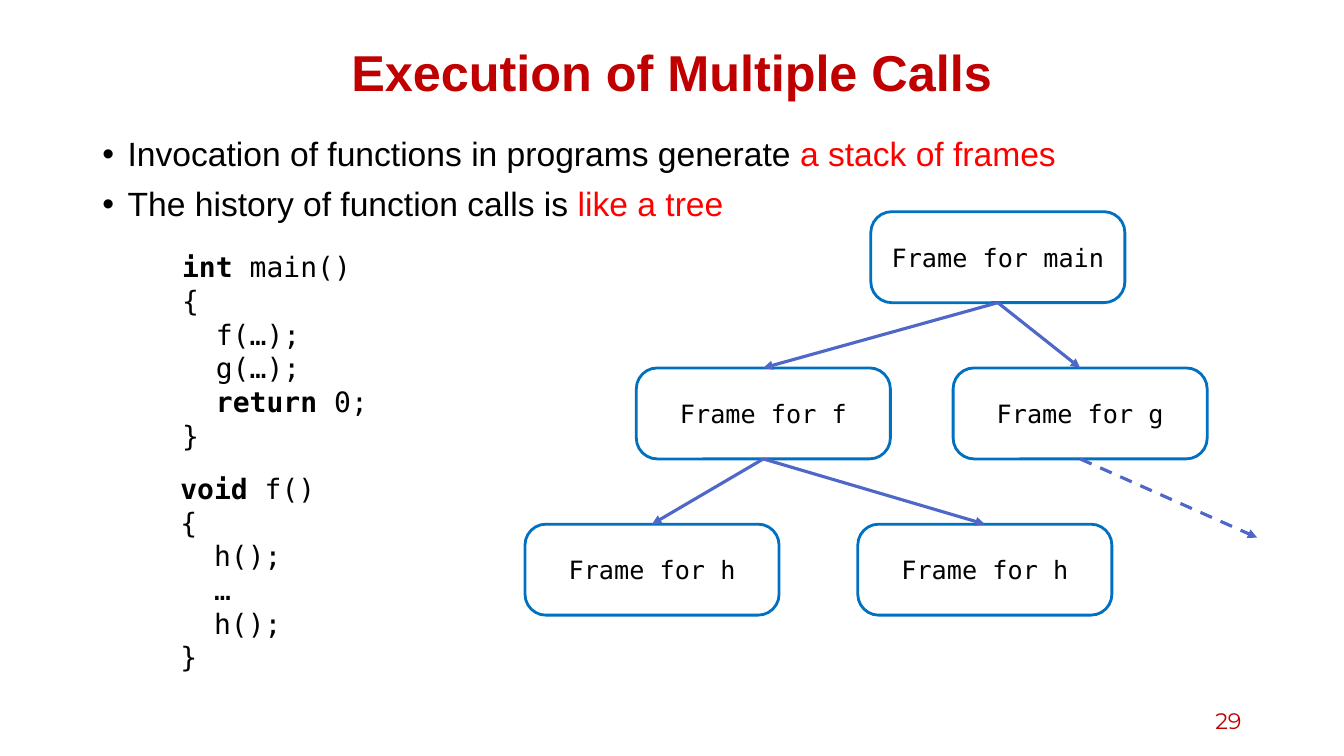
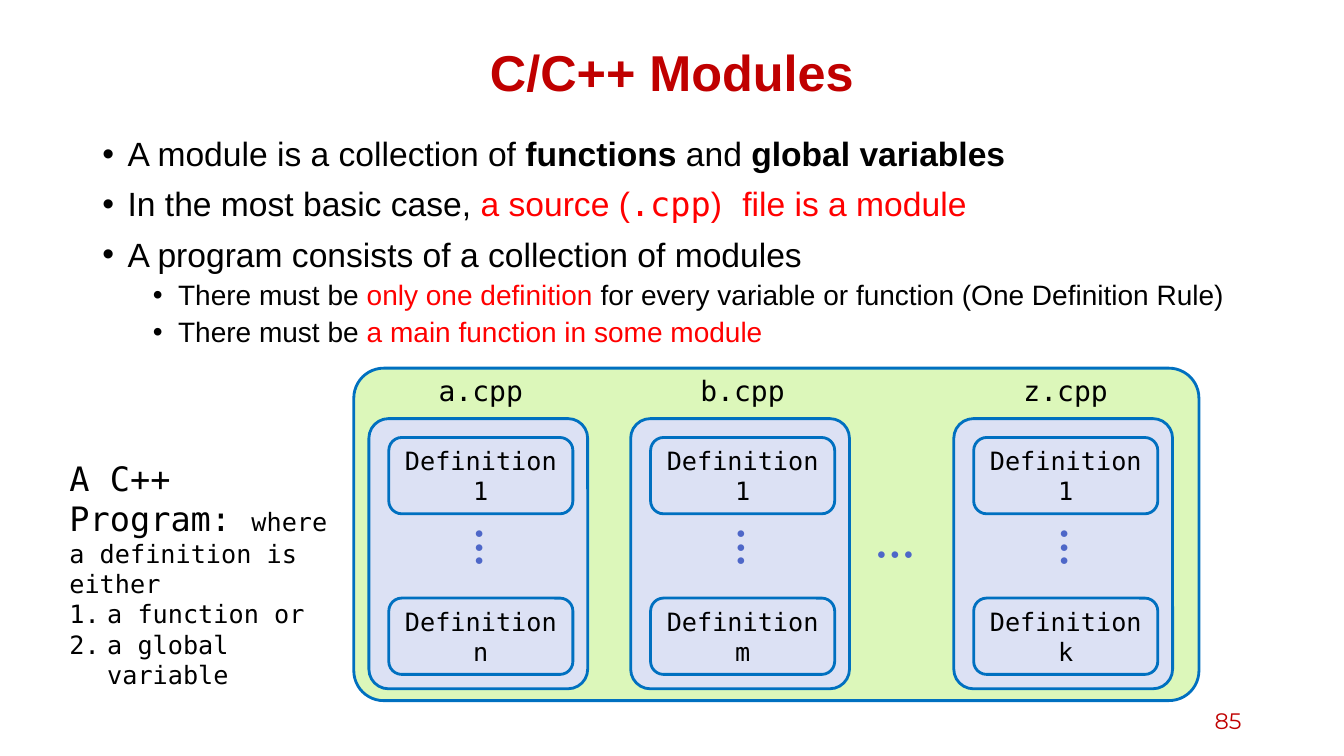
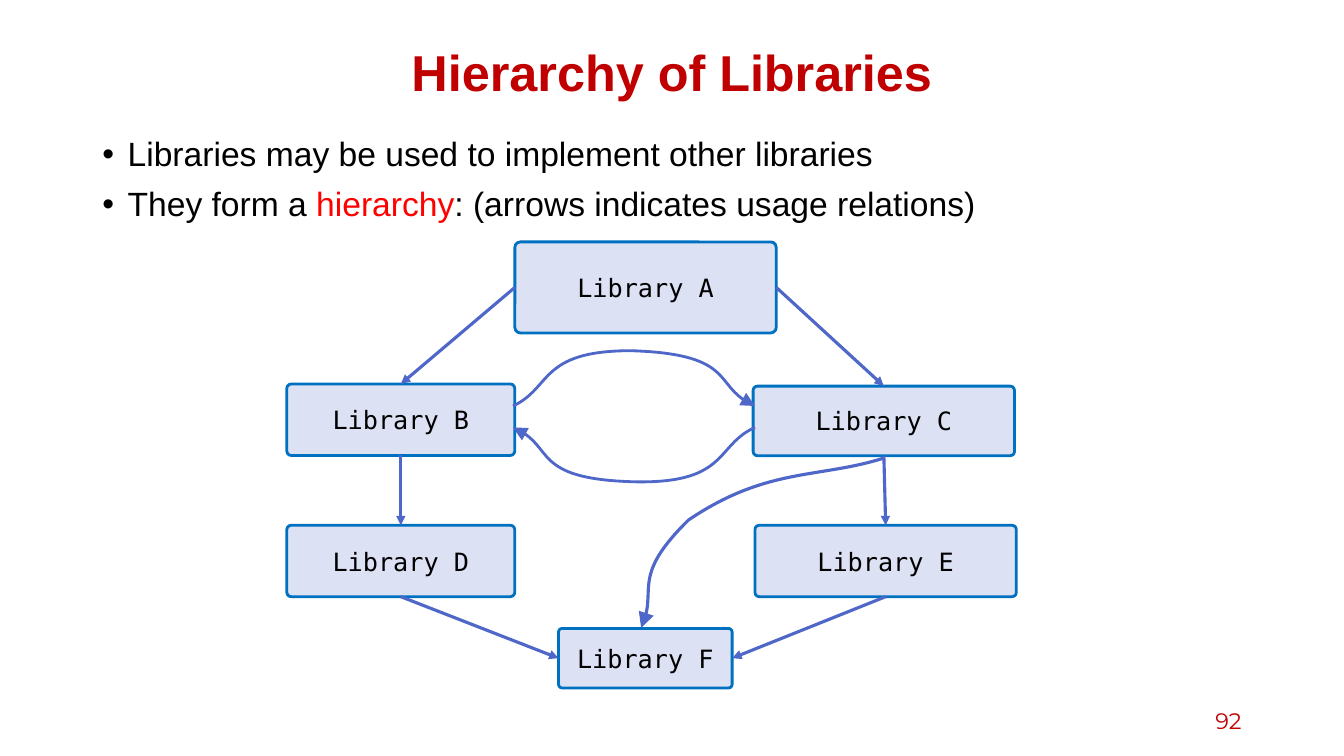
"""Build three lecture slides on calls, modules and libraries."""
from dataclasses import dataclass
from typing import NamedTuple

from lxml.etree import SubElement
from pptx import Presentation
from pptx.dml.color import RGBColor
from pptx.enum.dml import MSO_LINE
from pptx.enum.shapes import MSO_CONNECTOR as Link, MSO_SHAPE as Preset
from pptx.enum.text import MSO_ANCHOR as Anchor, MSO_AUTO_SIZE as AutoSize, PP_ALIGN as Align
from pptx.oxml.ns import qn
from pptx.util import Pt

SANS, MONO, NUMBER_FONT = "Arial", "DejaVu Sans Mono", "Montserrat"
BLACK, RED, TITLE_RED = "000000", "FF0000", "C00000"
OUTLINE, ARROW, LILAC, GREEN = "0070C0", "4E67C8", "DCE1F4", "DCF7BA"
TOP, LEFT, BOTTOM, RIGHT = range(4)


class Span(NamedTuple):
    """A stretch of text in one format."""
    text: str
    color: str = BLACK
    bold: bool = False
    font: str = SANS


@dataclass
class Bullet:
    """A bulleted line made of spans."""
    spans: list[Span]
    level: int = 0


@dataclass
class Node:
    """A labelled box of a diagram."""
    key: str
    text: str
    left: float
    top: float
    width: float
    height: float


@dataclass
class Arrow:
    """An arrow between connection sites of two nodes."""
    start: str
    start_site: int
    end: str
    end_site: int


@dataclass
class Curve:
    """A curved arrow: a start point, then three points for each cubic segment."""
    start: tuple
    points: list[tuple]
    width: float = 2


@dataclass
class Module:
    """A source file with its last definition."""
    name: str
    last: str
    left: float


def rgb(color: str) -> RGBColor:
    """Turn a hex string into a colour."""
    return RGBColor.from_string(color)


def write(para, text: str, *, size: float = 18, font: str = MONO,
          color: str = BLACK, bold: bool = False) -> None:
    """Add a formatted span to a paragraph."""
    span = para.add_run()
    span.text = text
    span.font.size, span.font.name, span.font.bold = Pt(size), font, bold
    span.font.color.rgb = rgb(color)


def place(box, left: float, top: float, width: float, height: float) -> None:
    """Move and size a box."""
    box.left, box.top, box.width, box.height = Pt(left), Pt(top), Pt(width), Pt(height)


def add_marker(para, indent: float, hang: float, tag: str, **attributes: str) -> None:
    """Give a paragraph a hanging bullet or number."""
    props = para._p.get_or_add_pPr()
    props.set("marL", str(Pt(indent)))
    props.set("indent", str(Pt(-hang)))
    SubElement(props, qn("a:buFont"), typeface=SANS if tag == "a:buChar" else MONO)
    SubElement(props, qn(tag), **attributes)


def next_para(frame, index: int):
    """Return the first paragraph or a new one."""
    return frame.add_paragraph() if index else frame.paragraphs[0]


def add_text(page, left: float, top: float, width: float, height: float):
    """Add a wrapping text box and return its frame."""
    frame = page.shapes.add_textbox(Pt(left), Pt(top), Pt(width), Pt(height)).text_frame
    frame.word_wrap = True
    return frame


def add_page(deck, title: str, number: int, bullets: list[Bullet]):
    """Add a slide with its title, bullets and number."""
    page = deck.slides.add_slide(deck.slide_layouts[1])
    heading, body = page.placeholders
    place(heading, 66, 28.8, 828, 50.4)
    place(body, 66, 94.6, 828, 397)
    for frame, anchor in ((heading.text_frame, Anchor.MIDDLE), (body.text_frame, Anchor.TOP)):
        frame.auto_size, frame.vertical_anchor = AutoSize.NONE, anchor
    para = heading.text_frame.paragraphs[0]
    para.alignment, para.line_spacing = Align.CENTER, 0.9
    write(para, title, size=36, font=SANS, color=TITLE_RED, bold=True)
    for index, bullet in enumerate(bullets):
        para = next_para(body.text_frame, index)
        para.level = bullet.level
        add_marker(para, 18 + 36 * bullet.level, 18, "a:buChar", char="•")
        para.line_spacing = 0.9
        para.space_before = Pt((5 if bullet.level else 10) if index else 0)
        for span in bullet.spans:
            write(para, span.text, size=20 if bullet.level else 24,
                  font=span.font, color=span.color, bold=span.bold)
    frame = add_text(page, 678, 500.4, 216, 28.8)
    frame.vertical_anchor = Anchor.MIDDLE
    frame.paragraphs[0].alignment = Align.RIGHT
    write(frame.paragraphs[0], str(number), size=16, font=NUMBER_FONT, color=TITLE_RED)
    return page


def add_box(page, left: float, top: float, width: float, height: float, *,
            text: str = "", fill: str = "", corner: float = 0.17):
    """Add an outlined rounded box with centred text."""
    box = page.shapes.add_shape(Preset.ROUNDED_RECTANGLE, Pt(left), Pt(top), Pt(width), Pt(height))
    box.adjustments[0] = corner
    box.shadow.inherit = False
    if fill:
        box.fill.solid()
        box.fill.fore_color.rgb = rgb(fill)
    else:
        box.fill.background()
    box.line.color.rgb, box.line.width = rgb(OUTLINE), Pt(2)
    if text:
        box.text_frame.word_wrap = True
        box.text_frame.vertical_anchor = Anchor.MIDDLE
        box.text_frame.paragraphs[0].alignment = Align.CENTER
        write(box.text_frame.paragraphs[0], text)
    return box


def style_arrow(shape, width: float, *, dashed: bool = False, head: str = "med") -> None:
    """Colour a line and put an arrowhead at its end."""
    shape.line.color.rgb, shape.line.width = rgb(ARROW), Pt(width)
    if dashed:
        shape.line.dash_style = MSO_LINE.DASH
    line = shape.element.spPr.find(qn("a:ln"))
    SubElement(line, qn("a:tailEnd"), type="triangle", w=head, len=head)


def add_link(page, source, source_site: int, *, target=None, target_site: int = TOP,
             end: tuple = (0, 0), dashed: bool = False) -> None:
    """Draw an arrow from a box to another box or to a point."""
    link = page.shapes.add_connector(Link.STRAIGHT, 0, 0, Pt(end[0]), Pt(end[1]))
    link.begin_connect(source, source_site)
    if target is not None:
        link.end_connect(target, target_site)
    style_arrow(link, 2.25, dashed=dashed)
    SubElement(link.element.spPr, qn("a:effectLst"))


def add_diagram(page, nodes: list[Node], arrows: list[Arrow], *, fill: str = "",
                corner: float) -> dict:
    """Draw nodes and arrows, and return the boxes by key."""
    boxes = {node.key: add_box(page, node.left, node.top, node.width, node.height,
                               text=node.text, fill=fill, corner=corner) for node in nodes}
    for arrow in arrows:
        add_link(page, boxes[arrow.start], arrow.start_site,
                 target=boxes[arrow.end], target_site=arrow.end_site)
    return boxes


def add_curve(page, curve: Curve) -> None:
    """Draw an open outline and turn each three lines into a cubic segment."""
    builder = page.shapes.build_freeform(Pt(curve.start[0]), Pt(curve.start[1]))
    builder.add_line_segments([(Pt(x), Pt(y)) for x, y in curve.points], close=False)
    shape = builder.convert_to_shape()
    outline = next(shape.element.iter(qn("a:path")))
    lines = outline.findall(qn("a:lnTo"))
    for index, line in enumerate(lines):
        if index % 3 == 0:
            cubic = SubElement(outline, qn("a:cubicBezTo"))
        cubic.append(line[0])
        outline.remove(line)
    shape.shadow.inherit = False
    shape.fill.background()
    style_arrow(shape, curve.width, head="lg")


def add_code(page, left: float, top: float, keyword: str, lines: list[str]) -> None:
    """Add a code listing with its keywords in bold."""
    frame = add_text(page, left, top, 206, 152.6)
    for index, line in enumerate(lines):
        para = next_para(frame, index)
        before, found, after = line.partition(keyword)
        for text, bold in ((before, False), (found, True), (after, False)):
            for part in text.partition("return"):
                if part:
                    write(para, part, size=20, bold=bold or part == "return")


def add_dots(page, left: float, top: float, rotation: float = 0) -> None:
    """Add three dots, turned by the given angle."""
    box = page.shapes.add_textbox(Pt(left), Pt(top), Pt(60.5), Pt(21))
    box.rotation = rotation
    box.text_frame.word_wrap = True
    write(box.text_frame.paragraphs[0], "● ● ●", size=11, font=SANS, color=ARROW)


def add_module(page, module: Module) -> None:
    """Draw a source file with its definitions."""
    add_box(page, module.left, 299, 156.3, 193, fill=LILAC, corner=0.09)
    for top, name in ((312.5, "1"), (427.2, module.last)):
        add_box(page, module.left + 14.2, top, 131.5, 54.5, text=f"Definition {name}")
    add_dots(page, module.left + 49.5, 391, 90)
    label = add_text(page, module.left + 21.6, 263, 116.6, 31.5).paragraphs[0]
    label.alignment = Align.CENTER
    write(label, module.name, size=20)


def build_calls(deck) -> None:
    """Build the slide on the tree of calls."""
    page = add_page(deck, "Execution of Multiple Calls", 29, [
        Bullet([Span("Invocation of functions in programs generate "), Span("a stack of frames", RED)]),
        Bullet([Span("The history of function calls is "), Span("like a tree", RED)]),
    ])
    frames = [("main", "main", 622, 0), ("f", "f", 454.5, 1), ("h1", "h", 375, 2),
              ("g", "g", 680.8, 1), ("h2", "h", 612.7, 2)]
    nodes = [Node(key, f"Frame for {name}", left, 151.2 + 111.6 * row, 181.5, 65)
             for key, name, left, row in frames]
    calls = [("main", "f"), ("f", "h1"), ("f", "h2"), ("main", "g")]
    boxes = add_diagram(page, nodes, [Arrow(a, BOTTOM, b, TOP) for a, b in calls], corner=0.23)
    add_link(page, boxes["g"], BOTTOM, end=(898, 384), dashed=True)
    add_code(page, 123, 175, "int", ["int main()", "{", "  f(…);", "  g(…);", "  return 0;", "}"])
    add_code(page, 121.7, 333.4, "void", ["void f()", "{", "  h();", "  …", "  h();", "}"])


def build_modules(deck) -> None:
    """Build the slide on modules."""
    page = add_page(deck, "C/C++ Modules", 85, [
        Bullet([Span("A module is a collection of "), Span("functions ", bold=True), Span("and"),
                Span(" global variables", bold=True)]),
        Bullet([Span("In the most basic case, "), Span("a source (", RED),
                Span(".cpp", RED, font=MONO), Span(")", RED), Span(" ", RED, font=MONO),
                Span("file is a module", RED)]),
        Bullet([Span("A program consists of a collection of modules")]),
        Bullet([Span("There must be "), Span("only one definition", RED),
                Span(" for every variable or function (One Definition Rule)")], 1),
        Bullet([Span("There must be "), Span("a main function in some module", RED)], 1),
    ])
    add_box(page, 252.7, 263, 603.7, 237.5, fill=GREEN, corner=0.09)
    for module in (Module("a.cpp", "n", 263.5), Module("b.cpp", "m", 450.5),
                   Module("z.cpp", "k", 681.3)):
        add_module(page, module)
    add_dots(page, 619.2, 385.2)
    frame = add_text(page, 42.5, 323.3, 214.5, 124)
    write(frame.paragraphs[0], "A C++ Program: ", size=24)
    write(frame.paragraphs[0], "where a definition is either")
    for text in ("a function or", "a global variable"):
        para = frame.add_paragraph()
        add_marker(para, 27, 27, "a:buAutoNum", type="arabicPeriod")
        write(para, text)


def build_libraries(deck) -> None:
    """Build the slide on libraries."""
    page = add_page(deck, "Hierarchy of Libraries", 92, [
        Bullet([Span("Libraries may be used to implement other libraries")]),
        Bullet([Span("They form a "), Span("hierarchy", RED),
                Span(": (arrows indicates usage relations)")]),
    ])
    places = {"A": (367.8, 172.8, 186.7, 65), "B": (204.9, 274.3, 162.8, 51),
              "C": (538, 275.8, 186.7, 49.7), "D": (204.9, 375.2, 162.8, 51),
              "E": (539.3, 375.2, 186.7, 51), "F": (399, 448.9, 124, 42.5)}
    nodes = [Node(key, f"Library {key}", *area) for key, area in places.items()]
    add_diagram(page, nodes, [
        Arrow("D", BOTTOM, "F", LEFT), Arrow("E", BOTTOM, "F", RIGHT),
        Arrow("C", BOTTOM, "E", TOP), Arrow("B", BOTTOM, "D", TOP),
        Arrow("A", LEFT, "B", TOP), Arrow("A", RIGHT, "C", TOP),
    ], fill=LILAC, corner=0.06)
    for curve in (
        Curve((366.5, 290), [(394.5, 277), (385, 250.5), (450.7, 250.5),
                             (520.5, 252.7), (510, 277), (539.3, 290)]),
        Curve((539.3, 305.3), [(511, 318), (520.5, 345), (455, 344.2),
                               (385, 342.7), (396, 318), (366.5, 305.3)]),
        Curve((632, 327), [(585.4, 342), (548, 333.4), (491.8, 371.5),
                           (454.3, 408.2), (469.4, 423.4), (458, 448.6)], 2.25),
    ):
        add_curve(page, curve)


def main() -> None:
    """Build and save the deck."""
    deck = Presentation()
    deck.slide_width, deck.slide_height = Pt(960), Pt(540)
    build_calls(deck)
    build_modules(deck)
    build_libraries(deck)
    deck.save("out.pptx")


if __name__ == "__main__":
    main()
